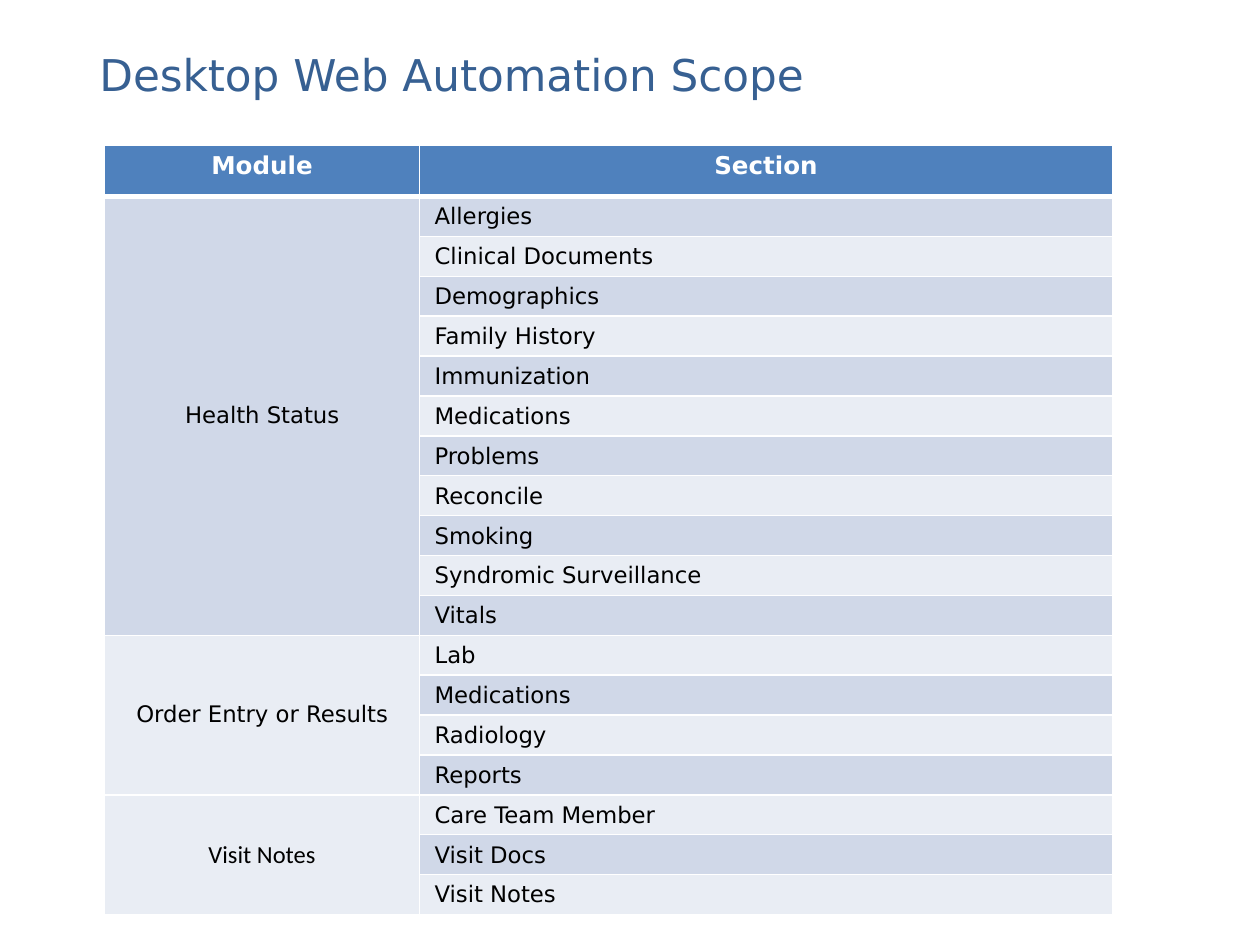
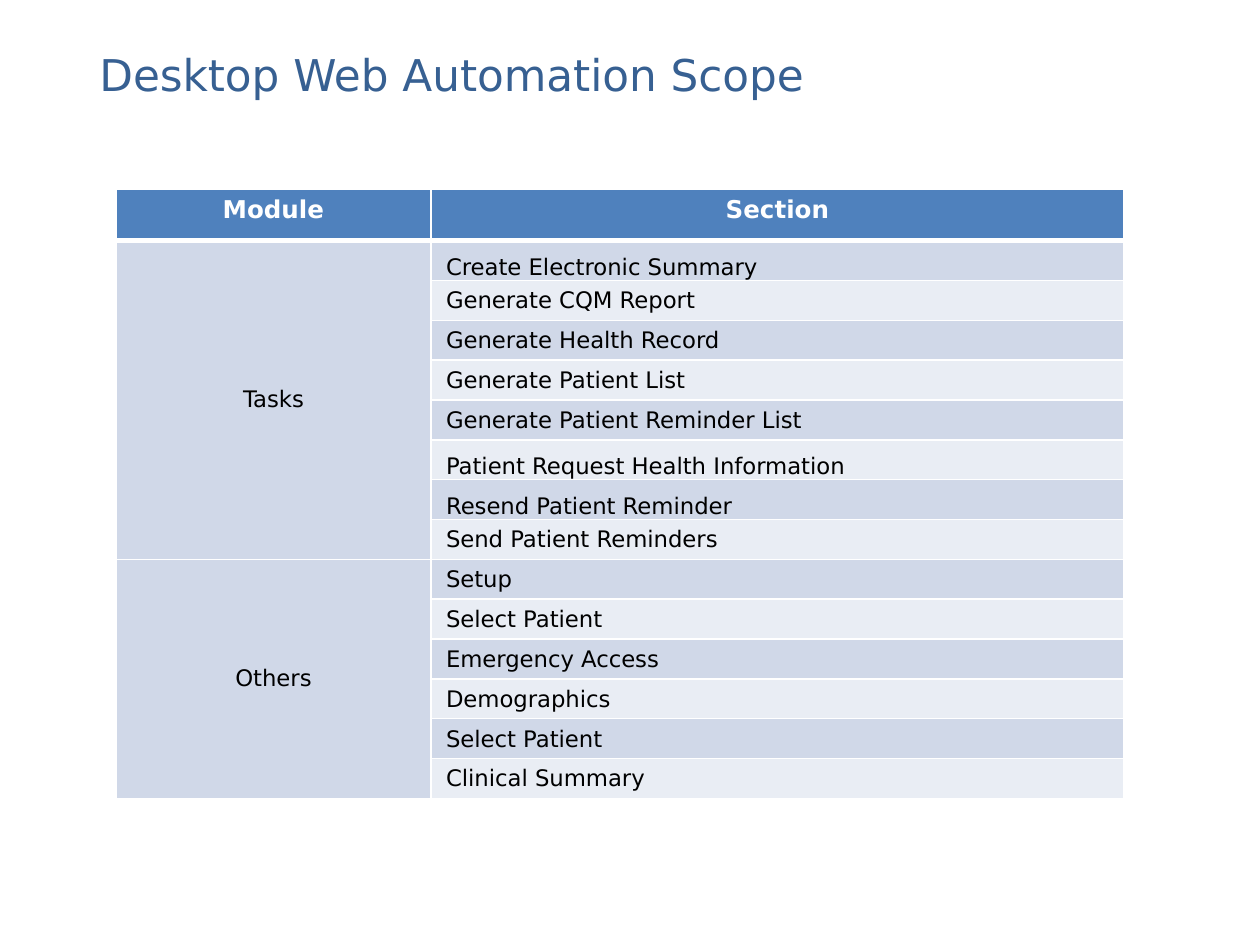
import pptx
import pptx.dml.color
import pptx.enum.text
import pptx.oxml
import pptx.oxml.ns
import pptx.util
from pptx.util import Inches

COLORS = {
    "title": "376092",
    "header": "4F81BD",
    "band_dark": "D0D8E8",
    "band_light": "E9EDF4",
    "border": "FFFFFF",
    "header_text": "FFFFFF",
    "text": "000000",
}
FONT = "DejaVu Sans"
TITLE = "Desktop Web Automation Scope"
HEADERS = ("Module", "Section")
COLUMN_WIDTHS = (2.5, 5.5)
HEADER_HEIGHT = 0.41
CENTER = pptx.enum.text.PP_ALIGN.CENTER
LEFT = pptx.enum.text.PP_ALIGN.LEFT
TOP = pptx.enum.text.MSO_ANCHOR.TOP
MIDDLE = pptx.enum.text.MSO_ANCHOR.MIDDLE
BOTTOM = pptx.enum.text.MSO_ANCHOR.BOTTOM

# Each module with its sections
CLINICAL_MODULES = {
    "Health Status": [
        "Allergies", "Clinical Documents", "Demographics", "Family History",
        "Immunization", "Medications", "Problems", "Reconcile", "Smoking",
        "Syndromic Surveillance", "Vitals",
    ],
    "Order Entry or Results": ["Lab", "Medications", "Radiology", "Reports"],
    "Visit Notes": ["Care Team Member", "Visit Docs", "Visit Notes"],
}
TASK_MODULES = {
    "Tasks": [
        "Create Electronic Summary", "Generate CQM Report",
        "Generate Health Record", "Generate Patient List",
        "Generate Patient Reminder List", "Patient Request Health Information",
        "Resend Patient Reminder", "Send Patient Reminders",
    ],
    "Others": [
        "Setup", "Select Patient", "Emergency Access", "Demographics",
        "Select Patient", "Clinical Summary",
    ],
}
MODULE_FONTS = {"Visit Notes": ("Calibri", 14)}
BOTTOM_SECTIONS = {
    "Create Electronic Summary", "Patient Request Health Information",
    "Resend Patient Reminder",
}


class ScopeDeck:
    def __init__(self):
        self.presentation = pptx.Presentation()
        self.presentation.slide_width = Inches(10)
        self.presentation.slide_height = Inches(7.5)
        self.slide = None

    def add_slide(self):
        self.slide = self.presentation.slides.add_slide(self.presentation.slide_layouts[6])

    def set_text(self, paragraph, text, size, color, bold=False, align=LEFT, name=FONT):
        paragraph.text = text
        paragraph.alignment = align
        paragraph.font.name = name
        paragraph.font.size = pptx.util.Pt(size)
        paragraph.font.bold = bold
        paragraph.font.color.rgb = pptx.dml.color.RGBColor.from_string(COLORS[color])

    def title(self, text):
        box = self.slide.shapes.add_textbox(Inches(0.69), Inches(0.33), Inches(6.48), Inches(0.52))
        box.text_frame.word_wrap = True
        box.text_frame.auto_size = pptx.enum.text.MSO_AUTO_SIZE.SHAPE_TO_FIT_TEXT
        self.set_text(box.text_frame.paragraphs[0], text, 25, "title")

    def paint(self, cell, fill, top=1, bottom=1):
        # Borders come before the fill in the cell properties
        properties = cell._tc.get_or_add_tcPr()
        for side, points in (("L", 1), ("R", 1), ("T", top), ("B", bottom)):
            properties.append(pptx.oxml.parse_xml(
                f'<a:ln{side} {pptx.oxml.ns.nsdecls("a")} w="{pptx.util.Pt(points)}">'
                f'<a:solidFill><a:srgbClr val="{COLORS["border"]}"/></a:solidFill></a:ln{side}>'))
        cell.fill.solid()
        cell.fill.fore_color.rgb = pptx.dml.color.RGBColor.from_string(COLORS[fill])

    def fill_cell(self, cell, text, size, color, anchor, **style):
        cell.vertical_anchor = anchor
        self.set_text(cell.text_frame.paragraphs[0], text, size, color, **style)

    def section_cell(self, cell, section):
        cell.margin_left = Inches(0.12)
        cell.margin_top = cell.margin_right = Inches(0.01)
        cell.margin_bottom = 0
        anchor = BOTTOM if section in BOTTOM_SECTIONS else MIDDLE
        self.fill_cell(cell, section, 13, "text", anchor)

    def scope_table(self, left, top, height, modules):
        section_count = sum(len(sections) for sections in modules.values())
        frame = self.slide.shapes.add_table(
            section_count + 1, len(HEADERS), Inches(left), Inches(top),
            Inches(sum(COLUMN_WIDTHS)), Inches(height))
        table = frame.table
        for column, width in zip(table.columns, COLUMN_WIDTHS):
            column.width = Inches(width)
        for row in table.rows:
            row.height = Inches((height - HEADER_HEIGHT) / section_count)
        table.rows[0].height = Inches(HEADER_HEIGHT)

        # Header row
        for column, header in enumerate(HEADERS):
            cell = table.cell(0, column)
            self.paint(cell, "header", bottom=3)
            self.fill_cell(cell, header, 14, "header_text", TOP, bold=True, align=CENTER)

        # Banded body rows
        for row in range(1, section_count + 1):
            for column in range(len(HEADERS)):
                band = "band_dark" if row % 2 else "band_light"
                self.paint(table.cell(row, column), band, top=3 if row == 1 else 1)

        # Modules spanning their sections
        first = 1
        for module, sections in modules.items():
            module_cell = table.cell(first, 0)
            module_cell.merge(table.cell(first + len(sections) - 1, 0))
            name, size = MODULE_FONTS.get(module, (FONT, 13))
            self.fill_cell(module_cell, module, size, "text", MIDDLE, align=CENTER, name=name)
            for row, section in enumerate(sections, first):
                self.section_cell(table.cell(row, 1), section)
            first += len(sections)


def main():
    deck = ScopeDeck()
    for left, top, height, modules in (
        (0.83, 1.15, 6.11, CLINICAL_MODULES),
        (0.92, 1.5, 4.84, TASK_MODULES),
    ):
        deck.add_slide()
        deck.title(TITLE)
        deck.scope_table(left, top, height, modules)
    deck.presentation.save("out.pptx")


if __name__ == "__main__":
    main()
